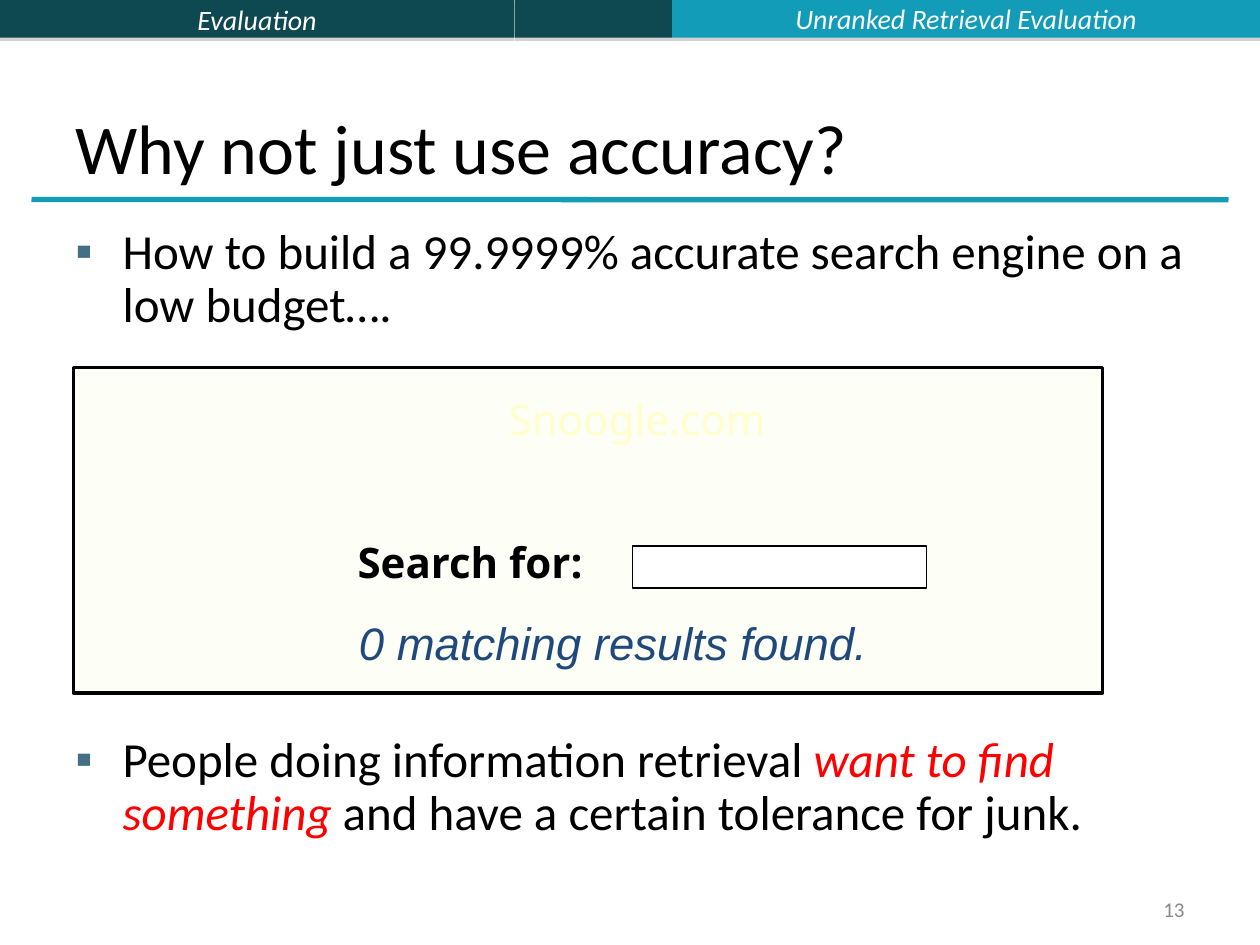
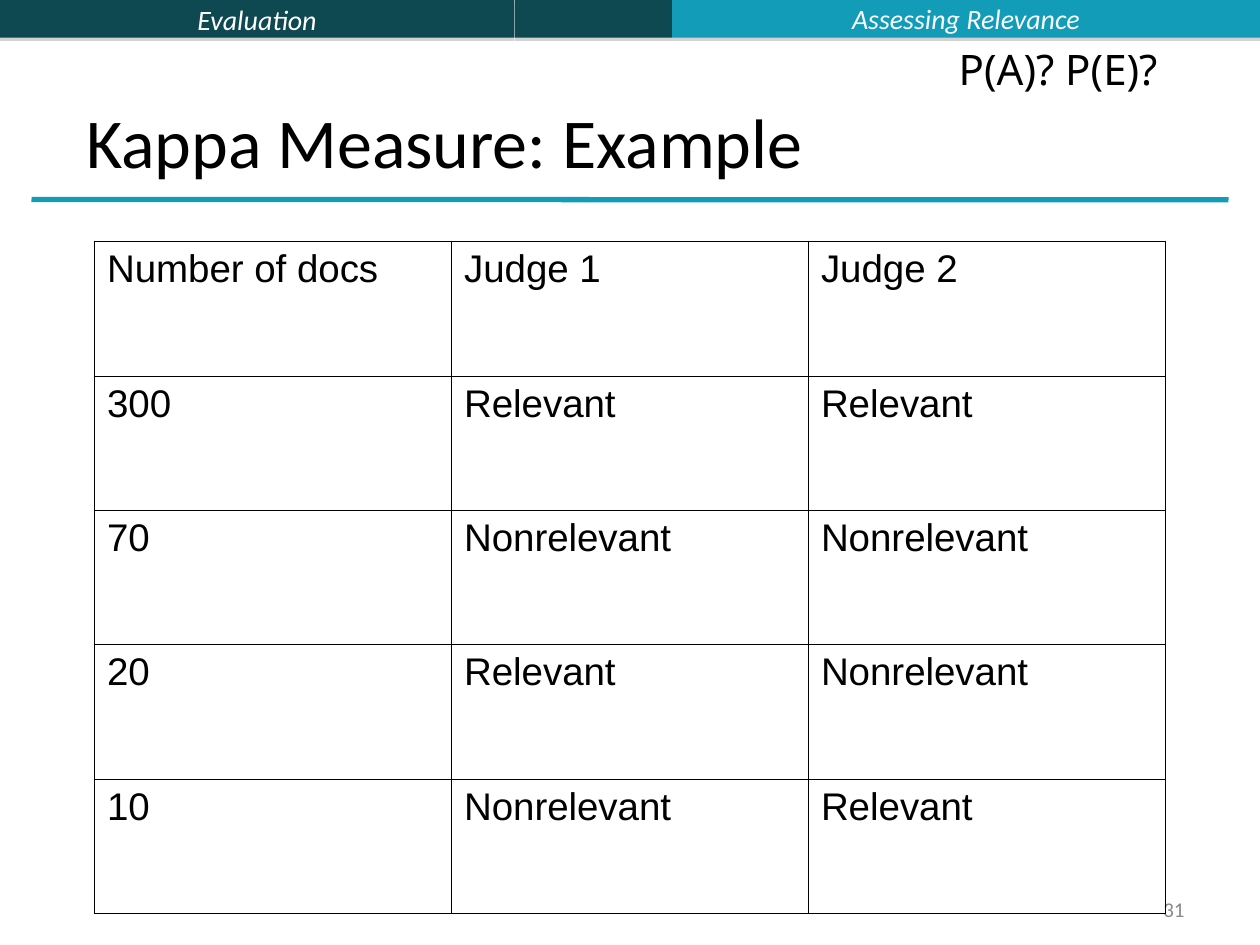
from lxml import etree
from pptx import Presentation
from pptx import util as u
from pptx.dml import color
from pptx.enum import shapes, text
from pptx.oxml import ns

BLACK, WHITE, DARK_TEAL, TEAL = "000000", "FFFFFF", "0E4851", "139CB7"
HEADER_TEXT, GREY, SHADOW, BULLET = "FBFCFF", "898989", "808080", "437085"
PANEL, PALE_YELLOW, NAVY, RED = "FCFEEC", "FFFFCC", "1F497D", "FF0000"
BODY = {"name": "Calibri", "size": u.Pt(28)}
TITLE = {"name": "Calibri", "size": u.Pt(40)}
HEADER = {"name": "Calibri", "size": u.Pt(16), "italic": True}
NUMBER = {"name": "Calibri", "size": u.Pt(12)}
LABEL = {"name": "Noto Sans", "size": u.Pt(24)}
RESULT = {"name": "Arial", "size": u.Pt(26), "italic": True}
CELL = {"name": "Arial", "size": u.Pt(22)}
LEFT, CENTER, RIGHT = text.PP_ALIGN.LEFT, text.PP_ALIGN.CENTER, text.PP_ALIGN.RIGHT


def rgb(value):
    return color.RGBColor.from_string(value)


def points(*values):
    return [u.Pt(v) for v in values]


def node(parent, tag, **attrs):
    return etree.SubElement(parent, ns.qn(tag), {k: str(v) for k, v in attrs.items()})


def add_run(p, words, hue, fmt):
    r = p.add_run()
    r.text = words
    r.font.color.rgb = rgb(hue)
    for name, value in fmt.items():
        setattr(r.font, name, value)


def write(tf, words, hue, fmt, align=LEFT):
    p = tf.paragraphs[0]
    p.alignment = align
    add_run(p, words, hue, fmt)


def add_text(s, box, words, hue, fmt, align=LEFT, middle=False, wrap=False):
    tf = s.shapes.add_textbox(*points(*box)).text_frame
    tf.word_wrap = wrap
    if middle:
        tf.vertical_anchor = text.MSO_ANCHOR.MIDDLE
    write(tf, words, hue, fmt, align)


def add_box(s, box, fill, line=None, opacity=None):
    sp = s.shapes.add_shape(shapes.MSO_SHAPE.RECTANGLE, *points(*box))
    sp.shadow.inherit = False
    sp.fill.solid()
    sp.fill.fore_color.rgb = rgb(fill)
    if opacity:
        solid = sp._element.spPr.find(ns.qn("a:solidFill"))
        node(solid[0], "a:alpha", val=opacity * 1000)
    if line:
        sp.line.color.rgb = rgb(BLACK)
        sp.line.width = u.Pt(line)
    else:
        sp.line.fill.background()
    return sp


def add_band(s, left, width, fill):
    sp = add_box(s, (left, 0, width, 21.6), fill)
    effects = sp._element.spPr.find(ns.qn("a:effectLst"))
    shadow = node(effects, "a:outerShdw", dist=u.Pt(1.8), dir=5400000, rotWithShape=0)
    node(node(shadow, "a:srgbClr", val=SHADOW), "a:alpha", val=35000)
    return sp


def add_rule(s):
    line = s.shapes.add_connector(shapes.MSO_CONNECTOR.STRAIGHT, *points(18, 114, 702, 114.2))
    line.line.color.rgb = rgb(TEAL)
    line.line.width = u.Pt(3)
    node(line._element.spPr, "a:effectLst")


def add_title(s, box, words):
    sp = s.shapes.title
    sp.left, sp.top, sp.width, sp.height = points(*box)
    sp.text_frame.vertical_anchor = text.MSO_ANCHOR.BOTTOM
    write(sp.text_frame, words, BLACK, TITLE)


def add_slide(prs, title, title_box, section, number):
    s = prs.slides.add_slide(prs.slide_layouts[5])
    chapter = add_band(s, 0, 293.8, DARK_TEAL)
    write(chapter.text_frame, "Evaluation", WHITE, HEADER, CENTER)
    add_band(s, 294, 90, DARK_TEAL)
    add_band(s, 384, 336, TEAL)
    add_rule(s)
    add_text(s, (516, 509.8, 168, 19.4), number, GREY, NUMBER, RIGHT, True, True)
    add_title(s, title_box, title)
    add_text(s, (384, -2.9, 336, 26.6), section, HEADER_TEXT, HEADER, CENTER, True, True)
    return s


def add_bullets(s, box, items, gap):
    tf = s.shapes.add_textbox(*points(*box)).text_frame
    tf.word_wrap = True
    for i, runs in enumerate(items):
        p = tf.add_paragraph() if i else tf.paragraphs[0]
        p.line_spacing = 0.9
        p.space_before = u.Pt(gap if i else 0)
        pPr = p._p.get_or_add_pPr()
        pPr.set("marL", str(u.Pt(27)))
        pPr.set("indent", str(u.Pt(-27)))
        node(node(pPr, "a:buClr"), "a:srgbClr", val=BULLET)
        node(pPr, "a:buFont", typeface="Arial")
        node(pPr, "a:buChar", char="▪")
        for words, hue, italic in runs:
            add_run(p, words, hue, {**BODY, "italic": italic})


def add_borders(cell, outer_sides):
    tcPr = cell._tc.get_or_add_tcPr()
    for side in "LRTB":
        width = 1.08 if side in outer_sides else 0.45
        line = node(tcPr, f"a:ln{side}", w=u.Pt(width))
        node(node(line, "a:solidFill"), "a:srgbClr", val=BLACK)


def add_grid(s, box, rows):
    n_rows, n_cols = len(rows), len(rows[0])
    table = s.shapes.add_table(n_rows, n_cols, *points(*box)).table
    table.first_row = table.horz_banding = False
    for i, row in enumerate(rows):
        for j, words in enumerate(row):
            cell = table.cell(i, j)
            edges = {"L": j == 0, "R": j == n_cols - 1, "T": i == 0, "B": i == n_rows - 1}
            add_borders(cell, [side for side, outer in edges.items() if outer])
            cell.fill.background()
            write(cell.text_frame, words, BLACK, CELL)


def accuracy_slide(prs):
    s = add_slide(prs, "Why not just use accuracy?", (36, 21.6, 648, 90),
                  "Unranked Retrieval Evaluation", "13")
    add_box(s, (42, 210, 588, 186), PANEL, line=2, opacity=50)
    add_bullets(s, (36, 126.2, 648, 390), [
        [("How to build a 99.9999% accurate search engine on a low budget….", BLACK, False)],
        [("People doing information retrieval ", BLACK, False),
         ("want to find something", RED, True),
         (" and have a certain tolerance for junk.", BLACK, False)],
    ], gap=230)
    add_text(s, (264, 221.5, 200, 36), "Snoogle.com", PALE_YELLOW, LABEL, CENTER, wrap=True)
    add_text(s, (197.3, 302.8, 150, 36), "Search for:", BLACK, {**LABEL, "bold": True})
    add_box(s, (361.5, 312, 168, 24), WHITE, line=0.75)
    add_text(s, (198, 348, 305.3, 38.9), "0 matching results found.", NAVY, RESULT)


def kappa_slide(prs):
    s = add_slide(prs, "Kappa Measure: Example", (42, 30, 636, 78),
                  "Assessing Relevance", "31")
    add_grid(s, (54, 138, 612, 384), [
        ("Number of docs", "Judge 1", "Judge 2"),
        ("300", "Relevant", "Relevant"),
        ("70", "Nonrelevant", "Nonrelevant"),
        ("20", "Relevant", "Nonrelevant"),
        ("10", "Nonrelevant", "Relevant"),
    ])
    add_text(s, (540.7, 21.3, 128.2, 36), "P(A)? P(E)?", BLACK, LABEL)


def main():
    prs = Presentation()
    prs.slide_width, prs.slide_height = points(720, 540)
    accuracy_slide(prs)
    kappa_slide(prs)
    prs.save("out.pptx")


if __name__ == "__main__":
    main()
